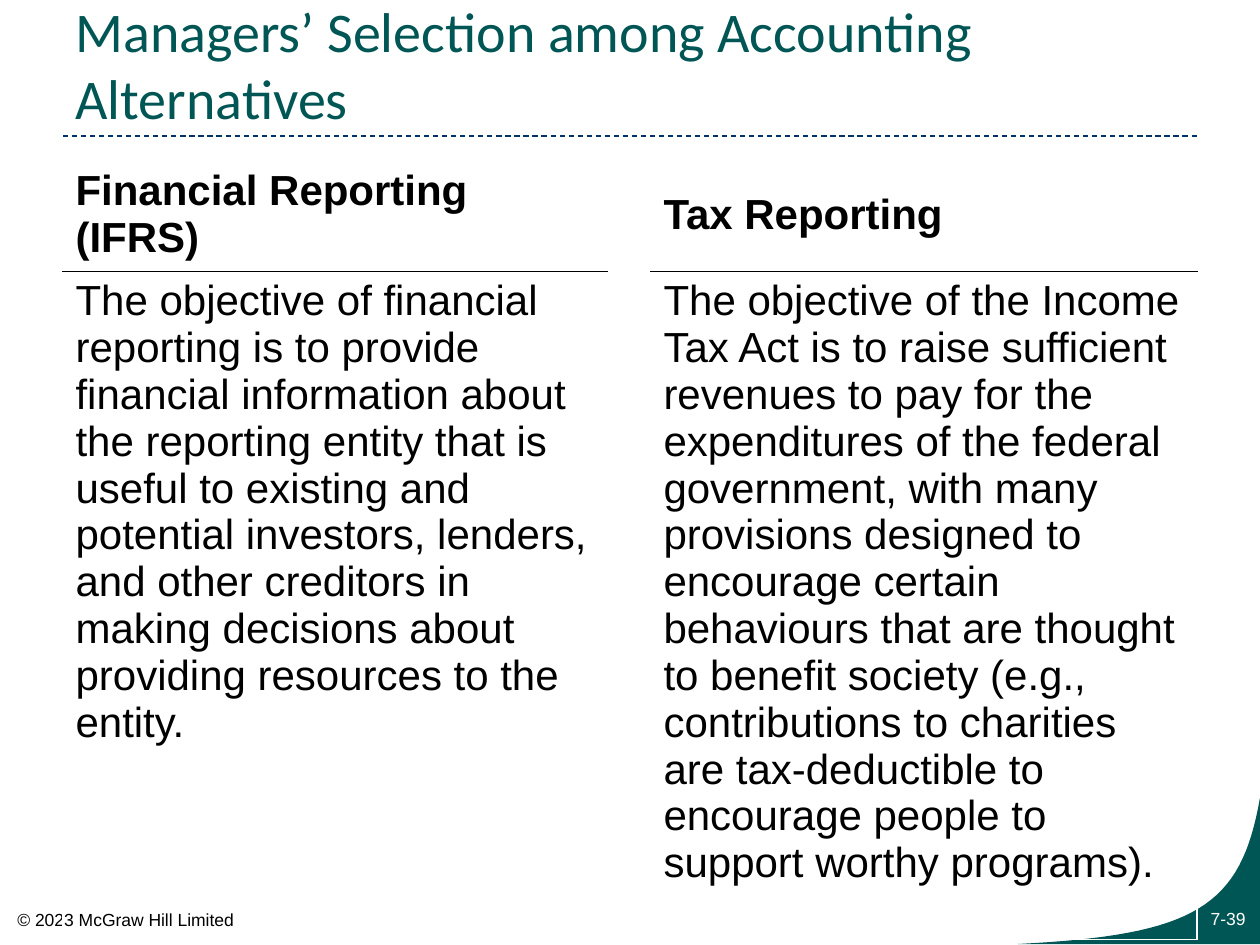
from lxml.etree import SubElement
from pptx import Presentation
from pptx.dml.color import RGBColor
from pptx.enum.dml import MSO_LINE
from pptx.enum.shapes import MSO_CONNECTOR
from pptx.enum.text import MSO_ANCHOR, MSO_AUTO_SIZE, PP_ALIGN
from pptx.oxml import parse_xml
from pptx.oxml.ns import nsdecls, qn
from pptx.util import Pt

SCALE = 914400 / 126
COLORS = {"teal": "005654", "navy": "003366", "black": "000000", "white": "FFFFFF"}
HEADINGS = ["Financial Reporting (IFRS)", "Tax Reporting"]
OBJECTIVES = [
    "The objective of financial reporting is to provide financial information about "
    "the reporting entity that is useful to existing and potential investors, lenders, "
    "and other creditors in making decisions about providing resources to the entity.",
    "The objective of the Income Tax Act is to raise sufficient revenues to pay for the "
    "expenditures of the federal government, with many provisions designed to encourage "
    "certain behaviours that are thought to benefit society (e.g., contributions to "
    "charities are tax-deductible to encourage people to support worthy programs).",
]


def px(length):
    return round(length * SCALE)


def color(name):
    return RGBColor.from_string(COLORS[name])


def format_paragraph(paragraph, size, color_name, font="Arial", bold=False, align=PP_ALIGN.LEFT):
    paragraph.alignment = align
    paragraph.font.name = font
    paragraph.font.size = Pt(size)
    paragraph.font.bold = bold
    paragraph.font.color.rgb = color(color_name)


def add_title(slide, left, top, width, height):
    title = slide.shapes.title
    title.left, title.top, title.width, title.height = map(px, (left, top, width, height))
    frame = title.text_frame
    frame.text = "Managers’ Selection among Accounting Alternatives"
    frame.word_wrap = True
    frame.auto_size = MSO_AUTO_SIZE.NONE
    frame.vertical_anchor = MSO_ANCHOR.BOTTOM
    format_paragraph(frame.paragraphs[0], 32, "teal", font="Calibri")


def add_divider(slide, left, top, width):
    line = slide.shapes.add_connector(
        MSO_CONNECTOR.STRAIGHT, px(left), px(top), px(left + width), px(top))
    line.line.color.rgb = color("navy")
    line.line.width = Pt(0.75)
    line.line.dash_style = MSO_LINE.DASH
    SubElement(line._element.spPr, qn("a:effectLst"))


def add_corner(slide, left, top, width, height, steps=32):
    right, bottom = left + width, top + height
    controls = [(left, bottom), (left + 178, bottom - 9), (right - 19, bottom - 37), (right, top)]
    curve = []
    for step in range(1, steps + 1):
        t = step / steps
        weights = ((1 - t) ** 3, 3 * t * (1 - t) ** 2, 3 * t * t * (1 - t), t ** 3)
        curve.append(tuple(
            px(sum(weight * point[axis] for weight, point in zip(weights, controls)))
            for axis in (0, 1)))
    builder = slide.shapes.build_freeform(px(left), px(bottom))
    builder.add_line_segments(curve + [(px(right), px(bottom))], close=True)
    corner = builder.convert_to_shape()
    corner.shadow.inherit = False
    corner.fill.solid()
    corner.fill.fore_color.rgb = color("teal")
    corner.line.fill.background()


def add_label(slide, text, left, top, width, height, color_name, align, wrap):
    frame = slide.shapes.add_textbox(px(left), px(top), px(width), px(height)).text_frame
    frame.word_wrap = wrap
    frame.text = text
    format_paragraph(frame.paragraphs[0], 10, color_name, align=align)


def set_border(cell, side):
    border = parse_xml(
        f'<a:{side} {nsdecls("a")} w="12700"><a:solidFill>'
        f'<a:srgbClr val="{COLORS["black"]}"/></a:solidFill></a:{side}>')
    cell._tc.get_or_add_tcPr().insert(0, border)


def add_comparison(slide, left, top, width, height, heading_height=106, gap=42):
    table = slide.shapes.add_table(2, 3, px(left), px(top), px(width), px(height)).table
    table.first_row = table.horz_banding = False
    column_width = (width - gap) // 2
    for column, size in zip(table.columns, (column_width, gap, column_width)):
        column.width = px(size)
    for row, size in zip(table.rows, (heading_height, height - heading_height)):
        row.height = px(size)
    for cell in table.iter_cells():
        cell.fill.background()
    for row, (texts, side) in enumerate([(HEADINGS, "lnB"), (OBJECTIVES, "lnT")]):
        for column, text in zip((0, 2), texts):
            cell = table.cell(row, column)
            cell.text = text
            cell.vertical_anchor = MSO_ANCHOR.TOP if row else MSO_ANCHOR.MIDDLE
            format_paragraph(cell.text_frame.paragraphs[0], 24, "black", bold=row == 0)
            set_border(cell, side)


def main():
    presentation = Presentation()
    presentation.slide_width, presentation.slide_height = px(1260), px(945)
    slide = presentation.slides.add_slide(presentation.slide_layouts[5])
    slide.background.fill.solid()
    slide.background.fill.fore_color.rgb = color("white")
    add_divider(slide, 63, 136, 1134)
    add_corner(slide, 1018, 798, 242, 146)
    add_label(slide, "7-39", 1134, 902, 124, 34, "white", PP_ALIGN.RIGHT, True)
    add_label(slide, "© 2023 McGraw Hill Limited", 5, 903, 244, 34, "black", PP_ALIGN.LEFT, False)
    add_title(slide, 63, 28, 1134, 109)
    add_comparison(slide, 63, 158, 1134, 680)
    presentation.save("out.pptx")


if __name__ == "__main__":
    main()
